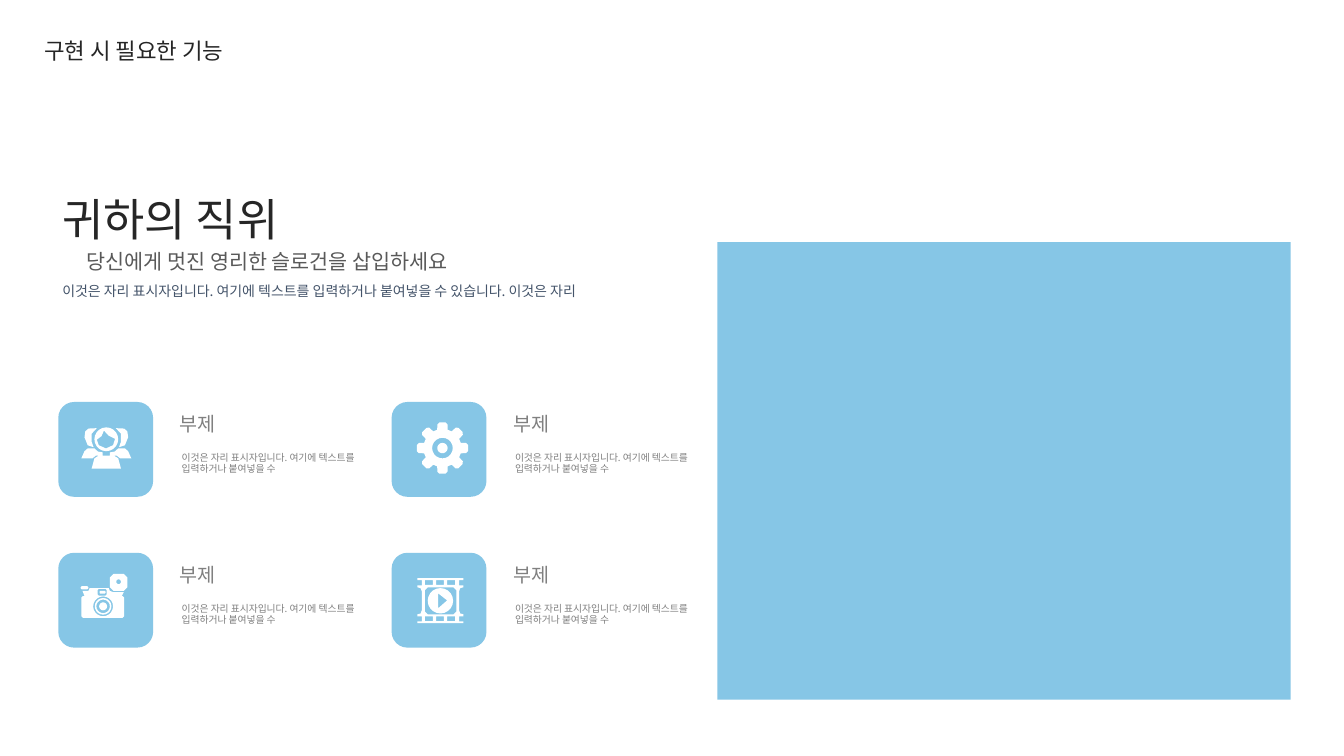
from math import cos, pi, sin

from lxml import etree
from pptx import Presentation
from pptx.dml.color import RGBColor
from pptx.enum.shapes import MSO_SHAPE
from pptx.enum.text import MSO_ANCHOR, PP_ALIGN
from pptx.oxml.ns import qn
from pptx.util import Cm, Pt

RECT, ROUND = MSO_SHAPE.RECTANGLE, MSO_SHAPE.ROUNDED_RECTANGLE
TOP, MIDDLE = MSO_ANCHOR.TOP, MSO_ANCHOR.MIDDLE
LEFT, CENTER = PP_ALIGN.LEFT, PP_ALIGN.CENTER
FONT = "Noto Sans CJK KR"
BLUE, WHITE, DARK, GRAY = "86C6E6", "FFFFFF", "262626", "808080"
TILE = 2.39
NOTE = "이것은 자리 표시자입니다. 여기에 텍스트를 입력하거나 붙여넣을 수"


def paint(shape, color):
    """Give a shape a flat fill without line or shadow."""
    shape.shadow.inherit = False
    shape.fill.solid()
    shape.fill.fore_color.rgb = RGBColor.from_string(color)
    shape.line.fill.background()


def block(slide, kind, x, y, w, h, color):
    """Place a flat preset shape."""
    paint(slide.shapes.add_shape(kind, Cm(x), Cm(y), Cm(w), Cm(h)), color)


def draw(slide, x, y, loops):
    """Place one white outline made of closed loops relative to x, y."""
    paths = [[(Cm(x + a), Cm(y + b)) for a, b in loop] for loop in loops]
    pen = slide.shapes.build_freeform(*paths[0][0])
    for k, spots in enumerate(paths):
        if k:
            pen.move_to(*spots[0])
        pen.add_line_segments(spots[1:], close=True)
    paint(pen.convert_to_shape(), WHITE)


def label(slide, box, text, size, color, align=LEFT, anchor=TOP, space=1.0, wrap=True):
    """Place a one-run text box."""
    frame = slide.shapes.add_textbox(*map(Cm, box)).text_frame
    frame.word_wrap = wrap
    frame.vertical_anchor = anchor
    para = frame.paragraphs[0]
    para.alignment = align
    para.line_spacing = space
    run = para.add_run()
    run.text = text
    font = run.font
    font.size = Pt(size)
    font.name = FONT
    font.color.rgb = RGBColor.from_string(color)
    east = etree.SubElement(run._r.get_or_add_rPr(), qn("a:ea"))
    east.set("typeface", FONT)


def ring(x, y, r):
    """Return the points of a circle."""
    return [(x + r * cos(k * pi / 10), y + r * sin(k * pi / 10)) for k in range(20)]


def box(x, y, w, h, cut=0.0):
    """Return the points of a rectangle with cut corners."""
    if not cut:
        return [(x, y), (x + w, y), (x + w, y + h), (x, y + h)]
    return [(x + cut, y), (x + w - cut, y), (x + w, y + cut), (x + w, y + h - cut),
            (x + w - cut, y + h), (x + cut, y + h), (x, y + h - cut), (x, y + cut)]


def flip(points, mid):
    """Mirror points left to right about mid, in reverse order."""
    return [(2 * mid - x, y) for x, y in reversed(points)]


def people():
    """Return the loops of three people."""
    mid = 1.21
    hair = [(0.97, 0.66), (0.84, 0.8), (0.84, 1.0), (0.89, 1.14), (0.74, 1.09),
            (0.66, 0.89), (0.68, 0.74), (0.76, 0.67)]
    arm = [(0.58, 1.42), (0.66, 1.24), (0.74, 1.17), (0.91, 1.17), (1.0, 1.25),
           (1.12, 1.27), (1.12, 1.35), (0.95, 1.35), (0.86, 1.42)]
    side = [(0.84, 1.68), (0.91, 1.42), (1.02, 1.35)]
    face = [(0.97, 0.95), (1.09, 0.86), (1.15, 0.72), (1.27, 0.85), (1.43, 0.93),
            (1.38, 1.09), (1.2, 1.17), (1.02, 1.09)]
    return [hair, flip(hair, mid), arm, flip(arm, mid), side + flip(side, mid),
            ring(mid, 0.94, 0.3), face]


def gear():
    """Return the loops of a gear with eight teeth."""
    x, y = 1.28, 1.16
    tooth = [(0.48, -0.28), (0.61, -0.21), (0.65, -0.12),
             (0.65, 0.12), (0.61, 0.21), (0.48, 0.28)]
    rim = [(x + r * cos(k * pi / 4 + turn), y + r * sin(k * pi / 4 + turn))
           for k in range(8) for r, turn in tooth]
    return [rim, ring(x, y, 0.26), ring(x, y, 0.13)]


def camera():
    """Return the loops of a camera with a flash."""
    ridge = [(0.61, 0.96), (0.76, 0.96), (0.79, 0.89), (1.27, 0.89), (1.3, 0.96),
             (1.38, 0.99), (1.65, 0.99), (1.6, 1.09), (0.66, 1.09)]
    lens = [ring(1.13, 1.35, r) for r in (0.25, 0.21, 0.17, 0.1)]
    return [box(0.56, 0.84, 0.2, 0.08, 0.03), ridge, box(0.99, 0.91, 0.23, 0.17, 0.03),
            box(1.04, 0.96, 0.15, 0.07, 0.02), box(0.58, 1.09, 1.08, 0.55, 0.04), *lens,
            box(1.3, 0.53, 0.44, 0.43, 0.09), ring(1.52, 0.73, 0.06)]


def film():
    """Return the loops of a film frame with a play mark."""
    edge = [(1.81, 0.64), (1.81, 0.69), (1.7, 0.69), (1.7, 0.82), (1.81, 0.82),
            (1.81, 0.87), (1.73, 0.89), (1.7, 0.97), (1.7, 1.45), (1.73, 1.53),
            (1.81, 1.55), (1.81, 1.6), (1.7, 1.6), (1.7, 1.73), (1.81, 1.73), (1.81, 1.77)]
    holes = [box(0.84 + 0.28 * k, top, 0.2, 0.12) for top in (0.69, 1.6) for k in range(3)]
    return [edge + flip(edge, 1.23), *holes, box(0.84, 0.87, 0.79, 0.68, 0.07),
            ring(1.23, 1.21, 0.32), [(1.17, 1.02), (1.4, 1.2), (1.17, 1.4)]]


def feature(slide, x, y, loops, width):
    """Draw a tile with its icon, subtitle and note."""
    label(slide, (x + 2.86, y + 1.14, width, 0.84), NOTE, 7, GRAY, anchor=MIDDLE, space=0.9)
    label(slide, (x + 2.81, y + 0.19, 6.4, 1.02), "부제", 14, GRAY, space=0.9)
    block(slide, ROUND, x, y, TILE, TILE, BLUE)
    draw(slide, x, y, loops)


def header(slide, x, y):
    """Write the headline, slogan and lead text."""
    label(slide, (x, y, 6.2, 1.63), "귀하의 직위", 32, DARK, anchor=MIDDLE, wrap=False)
    label(slide, (x - 0.11, y + 1.42, 11.05, 0.94), "당신에게 멋진 영리한 슬로건을 삽입하세요",
          14.8, "595959", CENTER, MIDDLE)
    label(slide, (x, y + 2.21, 16.33, 1.83),
          "이것은 자리 표시자입니다. 여기에 텍스트를 입력하거나 붙여넣을 수 있습니다. 이것은 자리",
          10, "44546A", space=1.2)


def main():
    """Build and save the slide."""
    deck = Presentation()
    deck.slide_width, deck.slide_height = Cm(33.87), Cm(19.05)
    slide = deck.slides.add_slide(deck.slide_layouts[6])
    header(slide, 1.32, 4.69)
    for k, (icon, width) in enumerate(
            [(people, 5.36), (gear, 4.93), (camera, 4.93), (film, 4.93)]):
        feature(slide, 1.47 + 8.4 * (k % 2), 10.13 + 3.8 * (k // 2), icon(), width)
    label(slide, (0.15, 0.81, 6.45, 0.94), "구현 시 필요한 기능", 16, DARK, CENTER, MIDDLE)
    block(slide, RECT, 18.08, 6.1, 14.45, 11.53, BLUE)
    deck.save("out.pptx")


if __name__ == "__main__":
    main()
